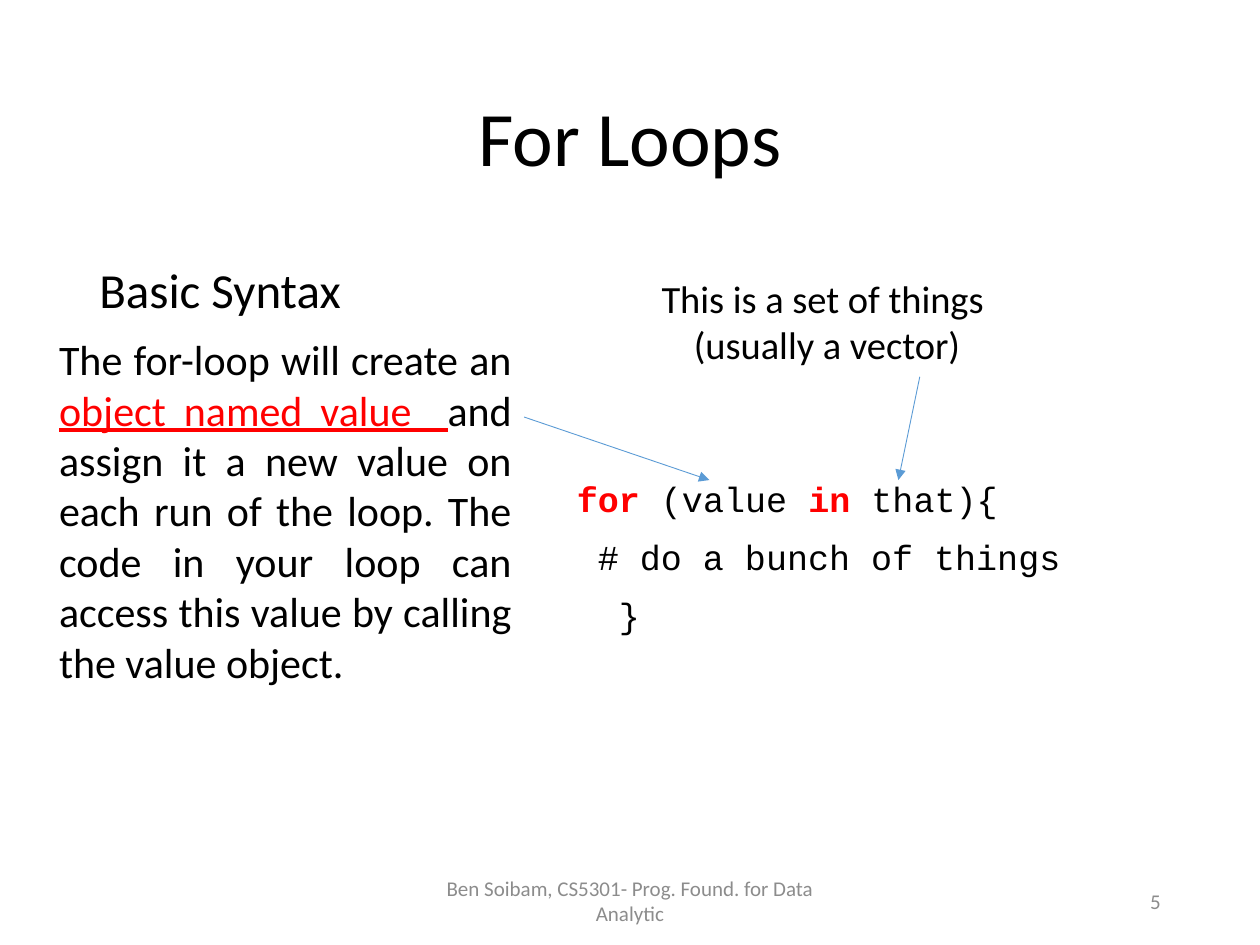
from lxml.etree import SubElement
from pptx import Presentation
from pptx.dml.color import RGBColor
from pptx.enum.shapes import MSO_CONNECTOR as Connector
from pptx.enum.text import MSO_ANCHOR as Anchor, PP_ALIGN as Align
from pptx.oxml.ns import qn
from pptx.util import Inches, Pt

BLACK = RGBColor(0, 0, 0)
RED = RGBColor(0xFF, 0, 0)
GRAY = RGBColor(0x8C, 0x8C, 0x8C)
BLUE = RGBColor(0x5B, 0x9B, 0xD5)
BODY_FONT = "Calibri"
CODE_FONT = "Courier New"


class LessonSlide:
    def __init__(self, deck):
        self.slide = deck.slides.add_slide(deck.slide_layouts[6])

    def text(self, area, lines, size, color=BLACK, font=BODY_FONT, align=Align.LEFT,
             anchor=Anchor.TOP, spacing=1.0, gap=0, wrap=True):
        frame = self.slide.shapes.add_textbox(*map(Inches, area)).text_frame
        frame.word_wrap = wrap
        frame.vertical_anchor = anchor
        for index, line in enumerate(lines):
            paragraph = frame.add_paragraph() if index else frame.paragraphs[0]
            paragraph.alignment = align
            paragraph.line_spacing = spacing
            paragraph.space_before = Pt(gap if index else 0)
            paragraph.font.name = font
            paragraph.font.size = Pt(size)
            paragraph.font.color.rgb = color
            for part in [line] if isinstance(line, str) else line:
                words, emphasis = (part, None) if isinstance(part, str) else part
                run = paragraph.add_run()
                run.text = words
                if emphasis:
                    run.font.color.rgb = RED
                    setattr(run.font, emphasis, True)

    def arrow(self, start, end):
        arrow = self.slide.shapes.add_connector(
            Connector.STRAIGHT, *map(Inches, start + end))
        arrow.line.color.rgb = BLUE
        arrow.line.width = Pt(0.5)
        SubElement(arrow.line._get_or_add_ln(), qn("a:tailEnd"), type="triangle")
        SubElement(arrow._element.spPr, qn("a:effectLst"))


def main():
    deck = Presentation()
    deck.slide_width = Inches(10)
    deck.slide_height = Inches(7.5)
    lesson = LessonSlide(deck)

    lesson.text((0.69, 0.4, 8.62, 1.45), ["For Loops"], 44,
                align=Align.CENTER, anchor=Anchor.MIDDLE, spacing=0.9)
    lesson.text((0.69, 2.06, 3.5, 0.54), ["Basic Syntax"], 28, spacing=0.9)
    lesson.text((4.48, 3.78, 4.83, 1.3), [
        [("for", "bold"), " (value ", ("in ", "bold"), "that){"],
        " # do a bunch of things",
        "  }",
    ], 20, font=CODE_FONT, spacing=0.9, gap=11.5)
    lesson.text((5.13, 2.13, 2.8, 0.84),
                ["This is a set of things", " (usually a vector)"], 22,
                align=Align.CENTER, wrap=False)
    lesson.arrow((7.3, 2.99), (7.13, 3.81))
    lesson.arrow((4.16, 3.31), (5.63, 3.81))
    lesson.text((0.37, 2.6, 3.79, 2.93), [[
        "The for-loop will create an ",
        ("object named value  ", "underline"),
        "and assign it a new value on each run of the loop. The code in your loop "
        "can access this value by calling the value object.",
    ]], 24, align=Align.JUSTIFY)
    lesson.text((3.31, 6.95, 3.38, 0.4),
                ["Ben Soibam, CS5301- Prog. Found. for Data Analytic"], 12, GRAY,
                align=Align.CENTER, anchor=Anchor.MIDDLE)
    lesson.text((7.06, 6.95, 2.25, 0.4), ["5"], 12, GRAY,
                align=Align.RIGHT, anchor=Anchor.MIDDLE)

    deck.save("out.pptx")


if __name__ == "__main__":
    main()
